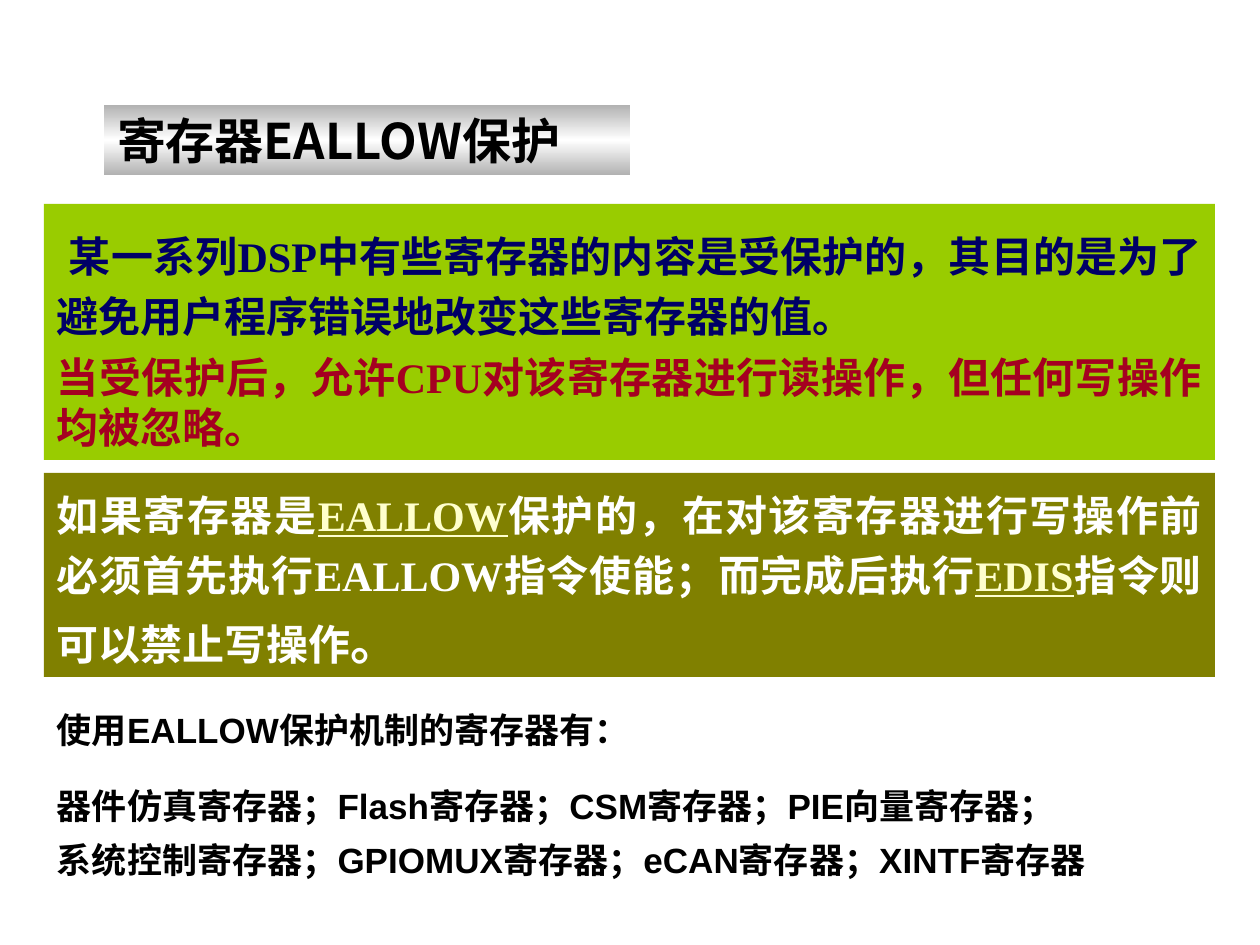
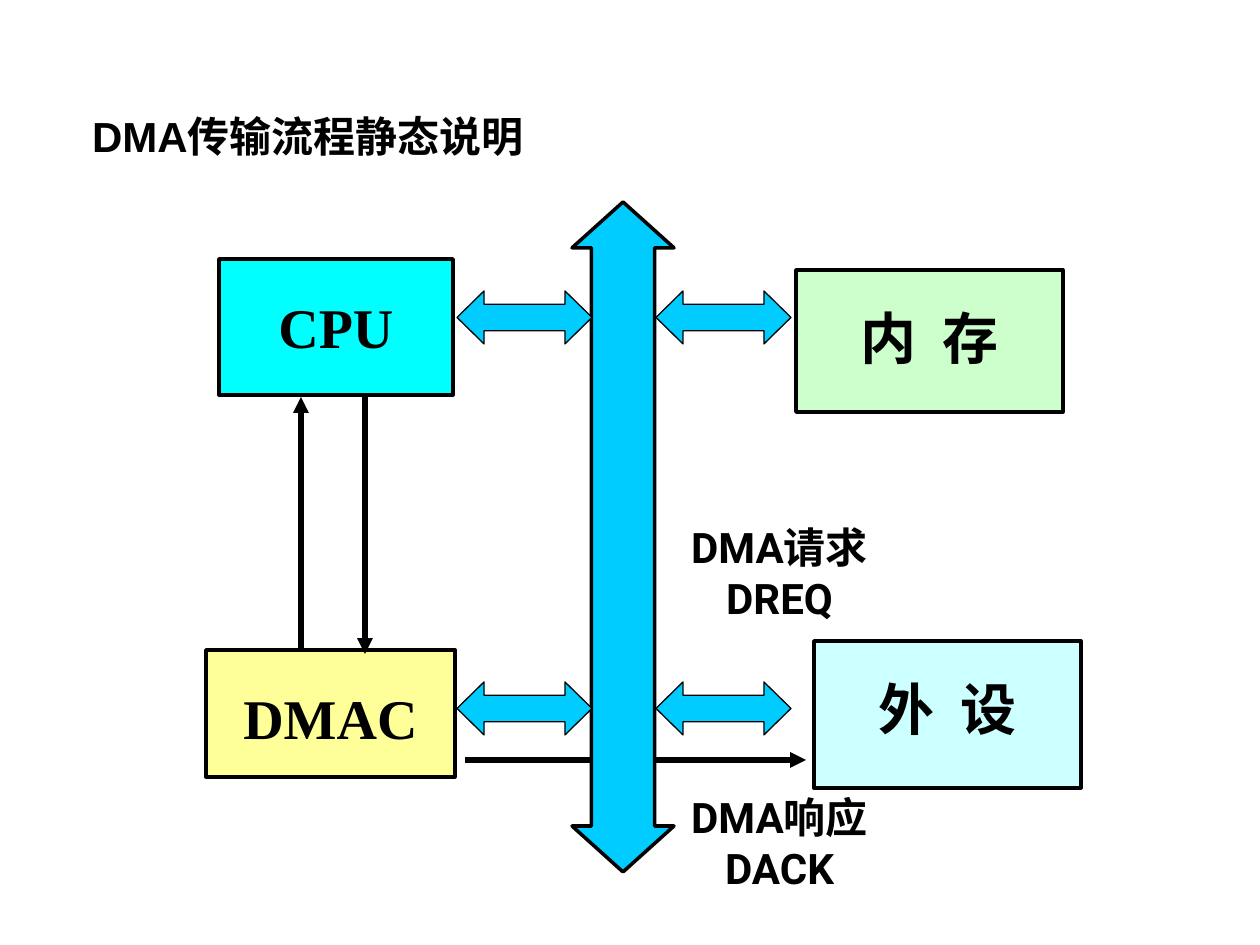
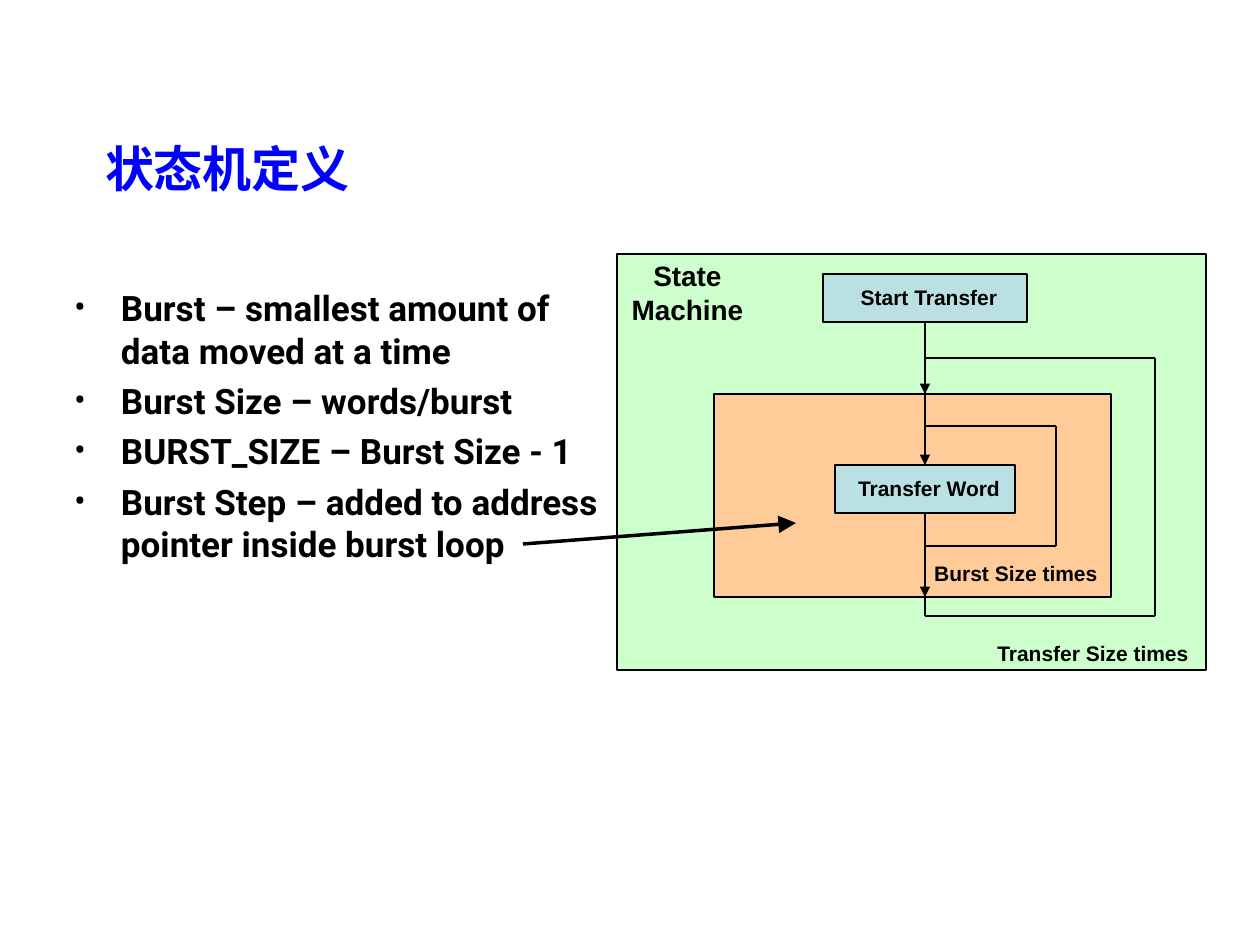
"""Build three slides on register protection and DMA transfers."""
from dataclasses import dataclass, replace
from itertools import pairwise, product

from lxml import etree
from pptx import Presentation
from pptx import util as u
from pptx.dml.color import RGBColor
from pptx.enum import shapes, text
from pptx.oxml import ns

TITLE_ONLY = 5
LEFT, CENTER, JUSTIFY = text.PP_ALIGN.LEFT, text.PP_ALIGN.CENTER, text.PP_ALIGN.JUSTIFY


@dataclass(frozen=True)
class Theme:
    """Colours, fonts and type sizes of the deck."""
    black: str = "000000"
    white: str = "FFFFFF"
    silver: str = "B2B2B2"
    blue: str = "0000FF"
    navy: str = "000066"
    crimson: str = "A50021"
    cream: str = "FFFFCC"
    lime: str = "99CC00"
    olive: str = "808000"
    cyan: str = "00FFFF"
    yellow: str = "FFFF99"
    mint: str = "CCFFCC"
    ice: str = "CCFFFF"
    sky: str = "00CCFF"
    peach: str = "FFCC99"
    teal: str = "BBE0E3"
    sans: str = "Arial"
    modern: str = "Roboto"
    serif: str = "Times New Roman"
    cjk: str = "Noto Sans CJK SC"
    block: int = 32
    title: int = 28
    body: int = 24
    detail: int = 20
    heading: int = 16
    label: int = 12


THEME = Theme()


@dataclass(frozen=True)
class Look:
    """Type style of a span."""
    font: str = THEME.sans
    size: int = THEME.body
    color: str = THEME.black
    underline: bool = False
    tracking: int = 0


@dataclass(frozen=True)
class Para:
    """Spans of text with the layout of their paragraph."""
    spans: tuple
    align: int = LEFT
    spacing: object = 1.0
    before: float = 0
    after: float = 0
    margin: int = 0
    indent: int = 0
    bullet: str = ""


@dataclass(frozen=True)
class Box:
    """Region of a slide in px."""
    left: int
    top: int
    width: int
    height: int

    def inside(self, left, top, width, height):
        """Return a box placed relative to this one."""
        return Box(self.left + left, self.top + top, width, height)

    def point(self, x, y):
        """Return a point placed relative to this box."""
        return self.left + x, self.top + y

    def emu(self):
        """Return the four lengths in EMU."""
        return [px(n) for n in (self.left, self.top, self.width, self.height)]


def px(length):
    """Turn px into EMU."""
    return u.Inches(length / 126)


def add_element(parent, tag, **attributes):
    """Append a DrawingML element."""
    return etree.SubElement(parent, ns.qn(tag), attributes)


def style_span(span, look):
    """Apply a look to a run."""
    font = span.font
    font.name, font.size, font.bold = look.font, u.Pt(look.size), True
    font.underline = look.underline
    font.color.rgb = RGBColor.from_string(look.color)
    add_element(font._element, "a:ea", typeface=THEME.cjk)
    if look.tracking:
        font._element.set("spc", str(look.tracking * 100))


def write(shape, paras, insets=(0, 0, 0, 0), anchor=text.MSO_ANCHOR.TOP):
    """Fill a shape with formatted paragraphs."""
    frame = shape.text_frame
    frame.word_wrap = True
    frame.auto_size = text.MSO_AUTO_SIZE.NONE
    frame.vertical_anchor = anchor
    frame.margin_left, frame.margin_top, frame.margin_right, frame.margin_bottom = map(px, insets)
    frame.text = "\n".join("".join(words for words, _ in item.spans) for item in paras)
    for para, item in zip(frame.paragraphs, paras):
        layout = para._p.get_or_add_pPr()
        layout.set("marL", str(px(item.margin)))
        layout.set("indent", str(px(item.indent)))
        if item.bullet:
            color = add_element(layout, "a:buClr")
            add_element(color, "a:srgbClr", val=THEME.black)
            add_element(layout, "a:buFont", typeface=THEME.modern)
            add_element(layout, "a:buChar", char=item.bullet)
        para.alignment, para.line_spacing = item.align, item.spacing
        para.space_before, para.space_after = u.Pt(item.before), u.Pt(item.after)
        para.runs[0].text = item.spans[0][0]
        for words, _ in item.spans[1:]:
            para.add_run().text = words
        for span, (_, look) in zip(para.runs, item.spans):
            style_span(span, look)


def add_text(page, box, paras, insets=(0, 0, 0, 0)):
    """Add a text box."""
    write(page.shapes.add_textbox(*box.emu()), paras, insets)


def add_block(page, box, fill, weight=0, kind=shapes.MSO_SHAPE.RECTANGLE):
    """Add a filled shape, outlined when a weight is given."""
    block = page.shapes.add_shape(kind, *box.emu())
    block.shadow.inherit = False
    block.fill.solid()
    block.fill.fore_color.rgb = RGBColor.from_string(fill)
    if weight:
        block.line.width = u.Pt(weight)
        block.line.color.rgb = RGBColor.from_string(THEME.black)
    else:
        block.line.fill.background()
    return block


def add_line(page, start, end, weight, head=""):
    """Add a black line, ending in an arrowhead of the given size."""
    line = page.shapes.add_connector(shapes.MSO_CONNECTOR.STRAIGHT, *map(px, start + end))
    line.line.width = u.Pt(weight)
    line.line.color.rgb = RGBColor.from_string(THEME.black)
    if head:
        add_element(line.line._get_or_add_ln(), "a:tailEnd", type="triangle", w=head, len=head)
    add_element(line._element.spPr, "a:effectLst")
    return line


def add_double_arrow(page, box, weight, adjustments):
    """Add a two-headed block arrow."""
    arrow = add_block(page, box, THEME.sky, weight, shapes.MSO_SHAPE.LEFT_RIGHT_ARROW)
    for index, value in enumerate(adjustments):
        arrow.adjustments[index] = value
    return arrow


INSETS = (13, 6, 13, 6)


def add_page(deck, box, para, insets=INSETS, anchor=text.MSO_ANCHOR.TOP):
    """Add a slide and place its title."""
    page = deck.slides.add_slide(deck.slide_layouts[TITLE_ONLY])
    title = page.shapes.title
    title.left, title.top, title.width, title.height = box.emu()
    write(title, [para], insets, anchor)
    return page


def shade_title(title):
    """Give the title a silver band with a white middle."""
    title.fill.gradient()
    title.fill.gradient_angle = 90
    stops = title.fill.gradient_stops
    for stop, place in zip(stops, (0, 1)):
        stop.position = place
        stop.color.rgb = RGBColor.from_string(THEME.silver)
    middle = etree.Element(ns.qn("a:gs"), pos="50000")
    add_element(middle, "a:srgbClr", val=THEME.white)
    stops[0]._gs.addnext(middle)


def add_protection_panels(page, box):
    """Place the two coloured panels and the register list."""
    navy = Look(THEME.serif, color=THEME.navy)
    crimson = replace(navy, color=THEME.crimson)
    white = replace(navy, color=THEME.white)
    command = replace(navy, color=THEME.cream, underline=True)
    purpose = add_block(page, box.inside(0, 0, box.width, 256), THEME.lime)
    write(purpose, [
        Para((("某一系列DSP中有些寄存器的内容是受保护的，其目的是为了避免用户程序错误地改变这些寄存器的值。", navy),),
             JUSTIFY, 1.2, indent=12),
        Para((("当受保护后，允许CPU对该寄存器进行读操作，但任何写操作均被忽略。", crimson),), JUSTIFY, before=6),
    ], (13, 16, 13, 6))
    procedure = add_block(page, box.inside(0, 269, box.width, 204), THEME.olive)
    write(procedure, [Para((
        ("如果寄存器是", white), ("EALLOW", command),
        ("保护的，在对该寄存器进行写操作前必须首先执行EALLOW指令使能；而完成后执行", white),
        ("EDIS", command), ("指令则可以禁止写操作", white),
        ("。", replace(white, size=THEME.title))), JUSTIFY, 1.2)], INSETS)
    detail = Look(size=THEME.detail)
    add_text(page, box.inside(0, 486, box.width, 198), [
        Para((("使用EALLOW保护机制的寄存器有：", detail),), spacing=1.3, after=12),
        Para((("器件仿真寄存器；Flash寄存器；CSM寄存器；PIE向量寄存器；", detail),), spacing=1.3),
        Para((("系统控制寄存器；GPIOMUX寄存器；eCAN寄存器；XINTF寄存器", detail),), spacing=1.3),
    ], INSETS)


def add_dma_diagram(page, box):
    """Place the units, the bus and the handshake arrows."""
    add_line(page, box.point(260, 558), box.point(601, 558), 3, "med")
    name_look = Look(THEME.serif, THEME.block)
    wide_look = replace(name_look, tracking=4)
    units = (
        ("CPU", name_look, THEME.cyan, (14, 57, 234, 136)),
        ("DMAC", name_look, THEME.yellow, (1, 448, 249, 127)),
        ("内 存", wide_look, THEME.mint, (591, 68, 267, 142)),
        ("外 设", wide_look, THEME.ice, (609, 439, 267, 147)),
    )
    for name, look, fill, place in units:
        unit = add_block(page, box.inside(*place), fill, 2)
        write(unit, [Para(((name, look),), CENTER, 1.5)])
    bus = add_double_arrow(page, box.inside(83, 284, 670, 102), 2, (0.62, 0.45))
    bus.rotation = 90
    add_line(page, box.point(96, 448), box.point(96, 195), 3, "med")
    add_line(page, box.point(160, 192), box.point(160, 452), 3, "med")
    for left, top in product((252, 451), (89, 480)):
        add_double_arrow(page, box.inside(left, top, 135, 53), 0.75, (0.5, 0.51))
    signal = Look(THEME.modern)
    for names, top in ((("DMA请求", "DREQ"), 314), (("DMA响应", "DACK"), 584)):
        add_text(page, box.inside(465, top, 219, 113),
                 [Para(((name, signal),), CENTER) for name in names], INSETS)


def add_definitions(page, box):
    """Place the bulleted burst definitions."""
    look = Look(THEME.modern, THEME.detail)
    definitions = (
        "Burst – smallest amount of data moved at a time",
        "Burst Size – words/burst",
        "BURST_SIZE – Burst Size - 1",
        "Burst Step – added to address pointer inside burst loop",
    )
    add_text(page, box, [
        Para(((words, look),), before=4.8 if index else 0, margin=49, indent=-47, bullet="•")
        for index, words in enumerate(definitions)])


def add_state_machine(page, box):
    """Place the nested transfer loops."""
    label = Look(size=THEME.label)
    spine = 308
    add_block(page, box, THEME.mint, 0.75)
    add_block(page, box.inside(97, 140, 397, 203), THEME.peach, 0.75)
    steps = []
    for name, top, width in (("Start Transfer", 20, 204), ("Transfer Word", 211, 180)):
        step = add_block(page, box.inside(spine - width // 2, top, width, 48), THEME.teal, 0.75)
        write(step, [Para(((name, label),), CENTER)], (8, 0, 0, 2), text.MSO_ANCHOR.MIDDLE)
        steps.append(step)
    start, word = steps
    captions = (
        ("Burst Size times", label, (310, 307, 178, 30)),
        ("Transfer Size times", label, (371, 386, 210, 30)),
        ("State Machine", replace(label, size=THEME.heading), (8, 5, 125, 78)),
    )
    for words, look, place in captions:
        add_text(page, box.inside(*place), [Para(((words, look),), CENTER)])
    entry = add_line(page, box.point(spine, 68), box.point(spine, 140), 1, "med")
    entry.begin_connect(start, 2)
    descent = add_line(page, box.point(spine, 68), box.point(spine, 211), 1, "med")
    descent.begin_connect(start, 2)
    descent.end_connect(word, 0)
    leaving = add_line(page, box.point(spine, 259), box.point(spine, 343), 1, "med")
    leaving.begin_connect(word, 2)
    burst_loop = ((spine, 292), (439, 292), (439, 172), (spine, 172))
    transfer_loop = ((spine, 343), (spine, 362), (538, 362), (538, 104), (spine, 104))
    for loop in (burst_loop, transfer_loop):
        for begin, end in pairwise(loop):
            add_line(page, box.point(*begin), box.point(*end), 1)


def build_protection(deck):
    """Build the register protection slide."""
    look = Look(THEME.cjk, THEME.title)
    page = add_page(deck, Box(104, 105, 526, 70), Para((("寄存器EALLOW保护", look),)),
                    anchor=text.MSO_ANCHOR.MIDDLE)
    shade_title(page.shapes.title)
    add_protection_panels(page, Box(44, 204, 1171, 684))


def build_dma(deck):
    """Build the DMA transfer slide."""
    page = add_page(deck, Box(79, 104, 813, 69), Para((("DMA传输流程静态说明", Look()),)))
    add_dma_diagram(page, Box(205, 202, 877, 696))


def build_states(deck):
    """Build the state machine slide."""
    look = Look(THEME.modern, THEME.title, THEME.blue)
    para = Para((("状态机定义", look),), spacing=u.Pt(43.1), margin=54)
    page = add_page(deck, Box(51, 96, 440, 122), para, (0, 26, 0, 0))
    add_definitions(page, Box(72, 287, 546, 277))
    add_state_machine(page, Box(617, 254, 589, 416))
    add_line(page, (523, 544), (796, 523), 2, "lg")


def main():
    """Build and save the deck."""
    deck = Presentation()
    deck.slide_width, deck.slide_height = px(1260), px(945)
    for build in (build_protection, build_dma, build_states):
        build(deck)
    deck.save("out.pptx")


if __name__ == "__main__":
    main()
